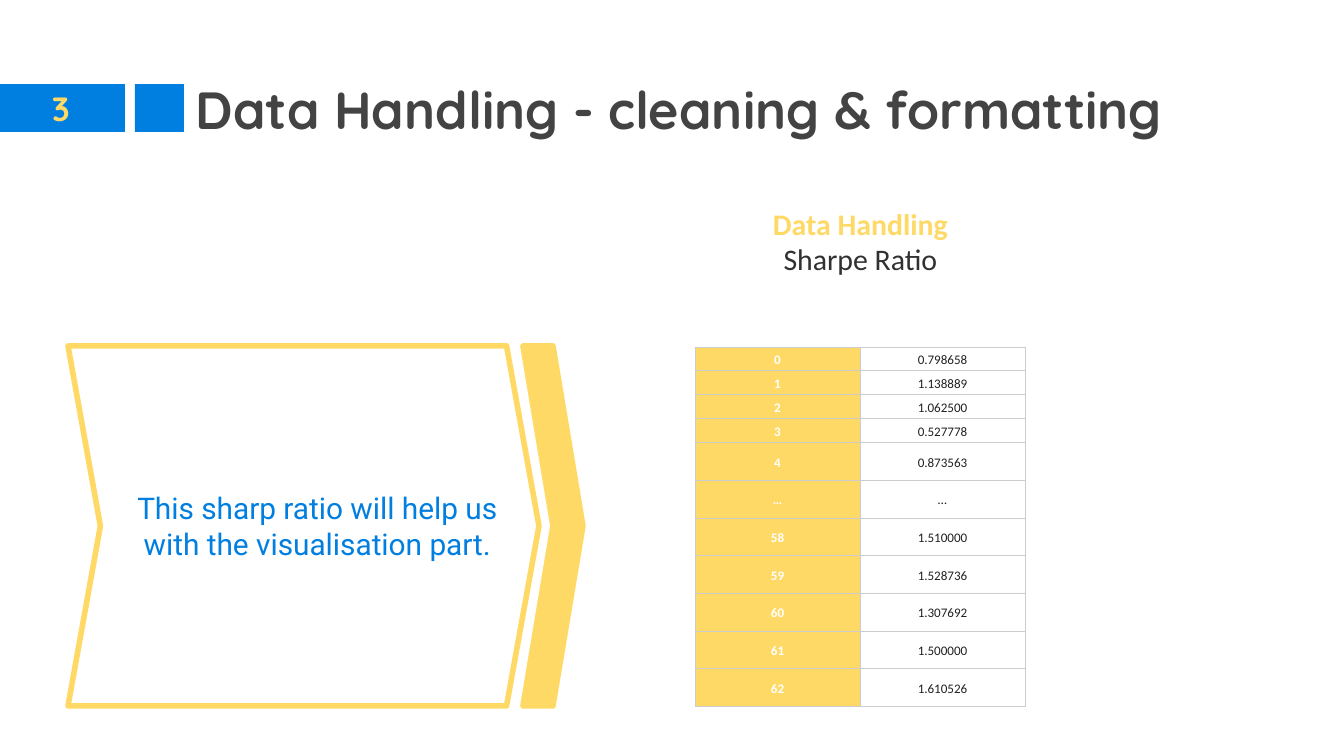
from lxml import etree
from pptx import Presentation
from pptx import util as u
from pptx.dml import color
from pptx.enum import shapes, text
from pptx.oxml import ns

SCALE = 914400 / 134.4
BLUE, YELLOW, WHITE = "007FE0", "FFD966", "FFFFFF"
DARK, INK, CELL_INK, GRID = "434343", "313131", "212121", "CCCCCC"
CENTER, LEFT = text.PP_ALIGN.CENTER, text.PP_ALIGN.LEFT
MIDDLE, BOTTOM = text.MSO_ANCHOR.MIDDLE, text.MSO_ANCHOR.BOTTOM
TITLE = dict(name="Quicksand", size=28, bold=True, color=DARK)
NUMBER = dict(name="Quicksand", size=18, bold=True, color=YELLOW)
HEADING = dict(name="Calibri", size=16, bold=True, color=YELLOW)
SUBHEADING = dict(HEADING, bold=False, color=INK)
MESSAGE = dict(name="Roboto", size=16, bold=False, color=BLUE)
INDEX_CELL = dict(name="Calibri", size=7, bold=True, color=WHITE)
VALUE_CELL = dict(INDEX_CELL, bold=False, color=CELL_INK)
RATIOS = [
    ("0", "0.798658"), ("1", "1.138889"), ("2", "1.062500"),
    ("3", "0.527778"), ("4", "0.873563"), ("…", "…"),
    ("58", "1.510000"), ("59", "1.528736"), ("60", "1.307692"),
    ("61", "1.500000"), ("62", "1.610526"),
]


def px(length):
    return u.Emu(round(length * SCALE))


def rgb(value):
    return color.RGBColor.from_string(value)


def write(frame, lines, align=CENTER, anchor=MIDDLE, spacing=None):
    frame.word_wrap = True
    frame.vertical_anchor = anchor
    for position, (words, style) in enumerate(lines):
        paragraph = frame.add_paragraph() if position else frame.paragraphs[0]
        paragraph.alignment = align
        paragraph.line_spacing = spacing
        run = paragraph.add_run()
        run.text = words
        values = dict(style, size=u.Pt(style["size"]))
        run.font.color.rgb = rgb(values.pop("color"))
        for name, value in values.items():
            setattr(run.font, name, value)


def set_margins(target, horizontal, vertical):
    margins = dict(margin_left=horizontal, margin_right=horizontal,
                   margin_top=vertical, margin_bottom=vertical)
    for name, value in margins.items():
        setattr(target, name, px(value))


def add_text(slide, box, lines, **layout):
    frame = slide.shapes.add_textbox(*map(px, box)).text_frame
    set_margins(frame, 13, 13)
    write(frame, lines, **layout)


def add_block(slide, kind, box, fill, line=None, width=0, adjustment=None):
    shape = slide.shapes.add_shape(kind, *map(px, box))
    shape.shadow.inherit = False
    shape.fill.solid()
    shape.fill.fore_color.rgb = rgb(fill)
    if line:
        shape.line.color.rgb = rgb(line)
        shape.line.width = u.Pt(width)
        etree.SubElement(shape.line._get_or_add_ln(), ns.qn("a:round"))
    else:
        shape.line.fill.background()
    if adjustment is not None:
        shape.adjustments[0] = adjustment
    return shape


def add_header(slide, left, top, width, height):
    rectangle = shapes.MSO_SHAPE.RECTANGLE
    add_block(slide, rectangle, (left, top, 125, height), BLUE)
    add_block(slide, rectangle, (left + 135, top, 49, height), BLUE)
    add_text(slide, (left + 183, top - 7, width - 183, 63),
             [("Data Handling - cleaning & formatting", TITLE)], align=LEFT)
    number = add_block(slide, rectangle, (left, top + 1, 122, height - 2),
                       BLUE, BLUE, 0.75)
    set_margins(number.text_frame, 13, 13)
    write(number.text_frame, [("3", NUMBER)])


def add_message(slide, left, top, width, height):
    chevron = shapes.MSO_SHAPE.CHEVRON
    add_block(slide, chevron, (left + width - 60, top, 60, height),
              YELLOW, YELLOW, 3, 0.5)
    add_block(slide, chevron, (left, top, width - 44, height),
              WHITE, YELLOW, 3, 0.09)
    add_text(slide, (left + 29, top + 94, 441, 171),
             [("This sharp ratio will help us with the visualisation part.", MESSAGE)])


def add_border(cell):
    properties = cell._tc.get_or_add_tcPr()
    for position, side in enumerate(("lnL", "lnR", "lnT", "lnB")):
        line = etree.Element(ns.qn(f"a:{side}"), w=str(u.Pt(0.6)))
        fill = etree.SubElement(line, ns.qn("a:solidFill"))
        etree.SubElement(fill, ns.qn("a:srgbClr"), val=GRID)
        properties.insert(position, line)


def add_ratio_table(slide, left, top, width, height):
    short_rows, short_height = 4, 24
    tall_height = (height - short_rows * short_height) / (len(RATIOS) - short_rows)
    table = slide.shapes.add_table(
        len(RATIOS), 2, *map(px, (left, top, width, height))).table
    table.first_row = table.horz_banding = False
    for column in table.columns:
        column.width = px(width / 2)
    for index, entry in enumerate(RATIOS):
        table.rows[index].height = px(short_height if index < short_rows else tall_height)
        looks = ((INDEX_CELL, YELLOW), (VALUE_CELL, WHITE))
        for column, (words, (style, fill)) in enumerate(zip(entry, looks)):
            cell = table.cell(index, column)
            cell.fill.solid()
            cell.fill.fore_color.rgb = rgb(fill)
            cell.vertical_anchor = MIDDLE
            set_margins(cell, 4, 3)
            write(cell.text_frame, [(words, style)], spacing=1.15)
            add_border(cell)


def main():
    presentation = Presentation()
    presentation.slide_width, presentation.slide_height = px(1344), px(756)
    slide = presentation.slides.add_slide(presentation.slide_layouts[6])
    add_header(slide, 0, 84, 1403, 48)
    add_text(slide, (590, 232, 541, 58),
             [("Data Handling", HEADING), ("Sharpe Ratio", SUBHEADING)],
             anchor=BOTTOM)
    add_ratio_table(slide, 695, 347, 330, 360)
    add_message(slide, 68, 346, 515, 360)
    presentation.save("out.pptx")


if __name__ == "__main__":
    main()
